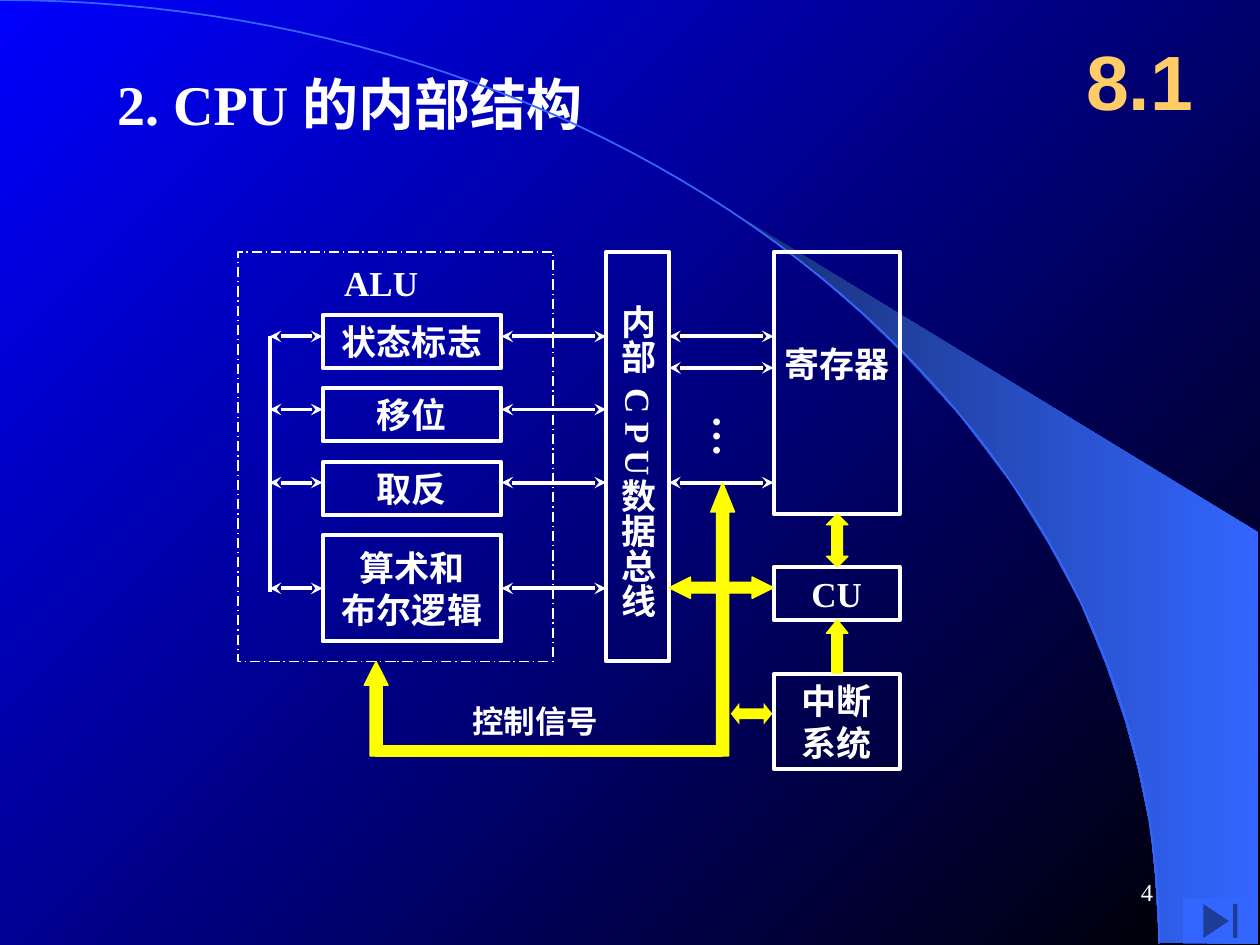
from math import cos, pi, sin

from lxml.etree import SubElement
from pptx import Presentation
from pptx.dml.color import RGBColor
from pptx.enum.dml import MSO_LINE
from pptx.enum.shapes import MSO_CONNECTOR, MSO_SHAPE
from pptx.enum.text import MSO_ANCHOR, MSO_AUTO_SIZE, PP_ALIGN
from pptx.oxml.ns import qn
from pptx.util import Inches, Pt

WHITE = RGBColor(0xFF, 0xFF, 0xFF)
YELLOW = RGBColor(0xFF, 0xFF, 0x00)
GOLD = RGBColor(0xFF, 0xCC, 0x66)
BLUE = RGBColor(0x33, 0x66, 0xFF)
DARK_BLUE = RGBColor(0x18, 0x2F, 0x76)
BACKGROUND_START = RGBColor(0x00, 0x00, 0xFF)
BACKGROUND_END = RGBColor(0x00, 0x00, 0x00)
SERIF = "Times New Roman"


def inches(*values):
    return [Inches(value) for value in values]


def set_gradient(fill, colors, angle):
    fill.gradient()
    fill.gradient_angle = angle
    for stop, color in zip(fill.gradient_stops, colors):
        stop.color.rgb = color


def write(shape, lines, size=20, name=SERIF, color=WHITE, bold=True,
          align=PP_ALIGN.CENTER, anchor=MSO_ANCHOR.MIDDLE, vertical=False):
    frame = shape.text_frame
    frame.word_wrap = True
    frame.auto_size = MSO_AUTO_SIZE.NONE
    frame.vertical_anchor = anchor
    side, end = (0.05, 0.1) if vertical else (0.1, 0.05)
    frame.margin_left = frame.margin_right = Inches(side)
    frame.margin_top = frame.margin_bottom = Inches(end)
    if vertical:
        frame._txBody.bodyPr.set("vert", "eaVert")
    for index, line in enumerate(lines):
        paragraph = frame.add_paragraph() if index else frame.paragraphs[0]
        paragraph.alignment = align
        run = paragraph.add_run()
        run.text = line
        run.font.name = name
        run.font.size = Pt(size)
        run.font.bold = bold
        run.font.color.rgb = color


def add_text(slide, box, text, **style):
    write(slide.shapes.add_textbox(*inches(*box)), [text], **style)


def add_frame(slide, box, lines=(), width=2.25, **style):
    shape = slide.shapes.add_shape(MSO_SHAPE.RECTANGLE, *inches(*box))
    shape.shadow.inherit = False
    shape.fill.background()
    shape.line.color.rgb = WHITE
    shape.line.width = Pt(width)
    if lines:
        write(shape, lines, **style)
    return shape


def add_solid(slide, preset, box, color=YELLOW, head=None, outlined=True):
    shape = slide.shapes.add_shape(preset, *inches(*box))
    shape.shadow.inherit = False
    shape.fill.solid()
    shape.fill.fore_color.rgb = color
    if head:
        shape.adjustments[1] = head
    if outlined:
        shape.line.color.rgb = color
        shape.line.width = Pt(0.75)
    else:
        shape.line.fill.background()


def add_wire(slide, start, end, arrows=True):
    wire = slide.shapes.add_connector(MSO_CONNECTOR.STRAIGHT, *inches(*start, *end))
    wire.line.color.rgb = WHITE
    wire.line.width = Pt(2.25)
    if arrows:
        for tag in ("a:headEnd", "a:tailEnd"):
            SubElement(wire.line._get_or_add_ln(), qn(tag), type="stealth")
    SubElement(wire._element.spPr, qn("a:effectLst"))
    return wire


def add_backdrop(slide, width, height):
    set_gradient(slide.background.fill, (BACKGROUND_START, BACKGROUND_END), 315)
    swoosh = [(9.2, 7.48), (9.99, 7.49), (9.99, 4.23), (5.89, 1.73), (6.24, 1.99),
              (6.53, 2.22), (6.85, 2.5), (7.16, 2.8), (7.62, 3.3), (8.03, 3.84),
              (8.32, 4.31), (8.58, 4.79), (8.78, 5.28), (8.93, 5.72), (9.03, 6.09),
              (9.13, 6.56), (9.17, 6.96)]
    angles = [step * pi / 120 for step in range(61)]
    arc = [(width * sin(angle), height * (1 - cos(angle))) for angle in angles]
    outlines = []
    for points, closed in ((swoosh, True), (arc, False)):
        builder = slide.shapes.build_freeform(*inches(*points[0]))
        builder.add_line_segments([inches(*point) for point in points[1:]], close=closed)
        shape = builder.convert_to_shape()
        shape.shadow.inherit = False
        outlines.append(shape)
    band, curve = outlines
    set_gradient(band.fill, (DARK_BLUE, BLUE), 0)
    band.line.fill.background()
    curve.fill.background()
    curve.line.color.rgb = BLUE
    curve.line.width = Pt(1)


def add_heading(slide, left, top):
    title = slide.shapes.title
    title.left, title.top, title.width, title.height = inches(left, top, 5.08, 0.64)
    write(title, ["2. CPU 的内部结构"], size=32, align=PP_ALIGN.LEFT, anchor=MSO_ANCHOR.TOP)
    add_text(slide, (left + 7.59, top - 0.33, 1.25, 0.92), "8.1",
             size=44, name="Arial", color=GOLD)


def add_alu(slide, left, top, bus_left):
    outline = add_frame(slide, (left, top, 2.5, 3.25), width=0.75)
    outline.line.dash_style = MSO_LINE.LONG_DASH_DOT
    add_text(slide, (left + 0.74, top + 0.02, 0.79, 0.44), "ALU")
    rail, unit_left, unit_width = left + 0.25, left + 0.67, 1.42
    unit_right = unit_left + unit_width
    units = [(0.5, 0.42, 0.67, ["状态标志"]), (1.08, 0.42, 1.25, ["移位"]),
             (1.67, 0.42, 1.83, ["取反"]), (2.25, 0.84, 2.67, ["算术和", "布尔逻辑"])]
    for offset, height, wire_offset, lines in units:
        unit = add_frame(slide, (unit_left, top + offset, unit_width, height), lines)
        y = top + wire_offset
        inner = add_wire(slide, (rail, y), (unit_left, y))
        outer = add_wire(slide, (unit_right, y), (bus_left, y))
        if abs(offset + height / 2 - wire_offset) < 0.01:
            inner.end_connect(unit, 1)
            outer.begin_connect(unit, 3)
    add_wire(slide, (rail, top + 0.67), (rail, top + 2.7), arrows=False)


def add_bus(slide, left, top, registers_left):
    bus = add_frame(slide, (left, top, 0.5, 3.25), ["内部\t数据总线"],
                    vertical=True, align=PP_ALIGN.LEFT)
    bus.text_frame.margin_top = Inches(0.42)
    properties = bus.text_frame.paragraphs[0]._p.get_or_add_pPr()
    tabs = SubElement(properties, qn("a:tabLst"))
    SubElement(tabs, qn("a:tab"), pos=str(Inches(1.38)), algn="l")
    add_text(slide, (left, top + 0.98, 0.53, 0.93), "C P U",
             vertical=True, align=PP_ALIGN.LEFT)
    for offset in (0.67, 0.92, 1.83):
        add_wire(slide, (left + 0.5, top + offset), (registers_left, top + offset))
    add_text(slide, (left + 0.69, top + 1.2, 0.6, 0.75), "…", size=24,
             vertical=True, align=PP_ALIGN.LEFT)


def add_control_column(slide, left, top):
    registers = add_frame(slide, (left, top, 1, 2.08), ["寄存器"], anchor=MSO_ANCHOR.TOP)
    registers.text_frame.margin_top = Inches(0.72)
    registers.text_frame.margin_left = registers.text_frame.margin_right = 0
    add_frame(slide, (left, top + 2.5, 1, 0.42), ["CU"])
    add_frame(slide, (left, top + 3.35, 1, 0.75), ["中断", "系统"])
    add_solid(slide, MSO_SHAPE.UP_DOWN_ARROW, (left + 0.42, top + 2.08, 0.17, 0.42), head=0.5)
    add_solid(slide, MSO_SHAPE.UP_ARROW, (left + 0.42, top + 2.92, 0.17, 0.42), head=0.62)


def add_control_signals(slide, left, top):
    add_solid(slide, MSO_SHAPE.LEFT_RIGHT_ARROW, (left + 2.42, top + 0.75, 0.83, 0.17), head=1)
    add_solid(slide, MSO_SHAPE.UP_ARROW, (left + 2.75, top, 0.19, 2.17), head=1.23)
    add_solid(slide, MSO_SHAPE.UP_ARROW, (left, top + 1.42, 0.19, 0.75), head=0.99)
    add_solid(slide, MSO_SHAPE.RECTANGLE, (left + 0.09, top + 2.09, 2.75, 0.08))
    add_solid(slide, MSO_SHAPE.LEFT_RIGHT_ARROW, (left + 2.91, top + 1.75, 0.33, 0.17),
              head=0.4, outlined=False)
    add_text(slide, (left + 0.76, top + 1.69, 1.2, 0.4), "控制信号", size=18)


def add_footer(slide, left, top):
    add_text(slide, (left, top, 2.08, 0.5), "4", size=14, bold=False, align=PP_ALIGN.RIGHT)
    add_solid(slide, MSO_SHAPE.ACTION_BUTTON_END, (left + 2.22, top + 0.3, 0.59, 0.36),
              color=BLUE, outlined=False)


def main():
    presentation = Presentation()
    presentation.slide_width, presentation.slide_height = inches(10, 7.5)
    slide = presentation.slides.add_slide(presentation.slide_layouts[5])
    diagram_top, bus_left, column_left = 2, 4.81, 6.14
    add_backdrop(slide, 9.2, 7.49)
    add_heading(slide, 0.83, 0.5)
    add_alu(slide, 1.89, diagram_top, bus_left)
    add_bus(slide, bus_left, diagram_top, column_left)
    add_control_column(slide, column_left, diagram_top)
    add_control_signals(slide, 2.89, 3.83)
    add_footer(slide, 7.17, 6.83)
    presentation.save("out.pptx")


if __name__ == "__main__":
    main()
